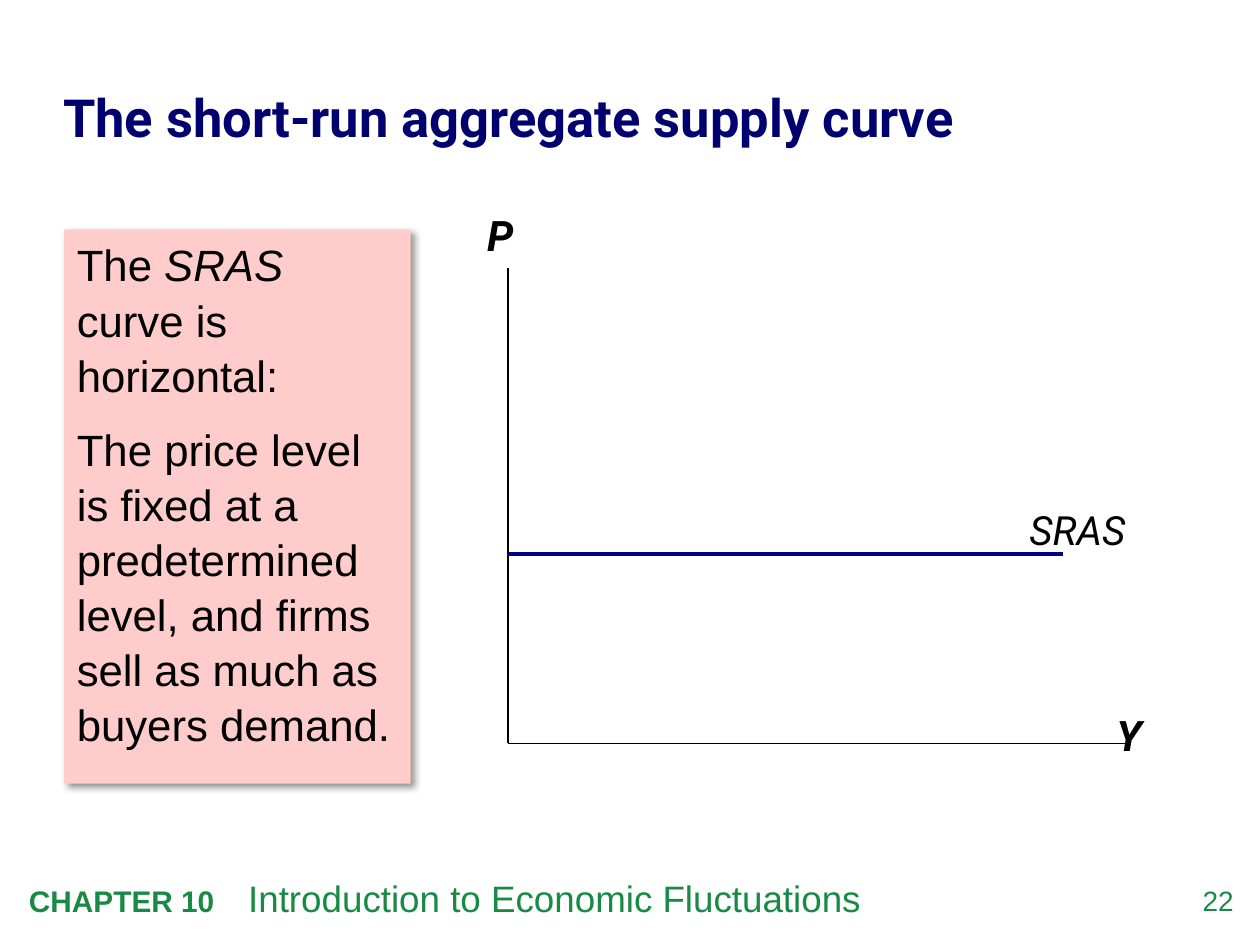
from lxml.etree import SubElement
from pptx import Presentation
from pptx.dml.color import RGBColor
from pptx.enum.shapes import MSO_CONNECTOR
from pptx.enum.text import MSO_ANCHOR, MSO_AUTO_SIZE, PP_ALIGN
from pptx.oxml import parse_xml
from pptx.oxml.ns import nsdecls, qn
from pptx.util import Inches, Pt

BLACK = RGBColor(0x00, 0x00, 0x00)
GREEN = RGBColor(0x19, 0x8A, 0x46)
TITLE_NAVY = RGBColor(0x00, 0x00, 0x6E)
CURVE_NAVY = RGBColor(0x00, 0x00, 0x82)
PINK = RGBColor(0xFF, 0xCC, 0xCC)
ORIGIN_X, ORIGIN_Y = 4.03, 5.9
CURVE_Y = 4.4


def place(shape, left, top, width, height):
    """Move and size a shape, in inches."""
    shape.left, shape.top = Inches(left), Inches(top)
    shape.width, shape.height = Inches(width), Inches(height)


def set_margins(text_frame, margin):
    """Give a text frame the same inset on all sides, in inches."""
    text_frame.margin_left = text_frame.margin_right = Inches(margin)
    text_frame.margin_top = text_frame.margin_bottom = Inches(margin)


def format_run(run, size, color, name="Arial", bold=False, italic=False):
    """Set the font of a run."""
    font = run.font
    font.name, font.size = name, Pt(size)
    font.bold, font.italic = bold, italic
    font.color.rgb = color


def add_run(paragraph, text, size, color, **style):
    """Append a formatted run to a paragraph."""
    run = paragraph.add_run()
    run.text = text
    format_run(run, size, color, **style)


def add_label(slide, box, text, size, color, align=PP_ALIGN.LEFT, margin=0, **style):
    """Add a one-line text box and return its paragraph."""
    text_frame = slide.shapes.add_textbox(*map(Inches, box)).text_frame
    text_frame.word_wrap = True
    set_margins(text_frame, margin)
    paragraph = text_frame.paragraphs[0]
    paragraph.alignment = align
    add_run(paragraph, text, size, color, **style)
    return paragraph


def add_line(slide, start, end, color, width):
    """Add a straight line without a shadow."""
    line = slide.shapes.add_connector(
        MSO_CONNECTOR.STRAIGHT, *map(Inches, (*start, *end)))
    line.line.color.rgb = color
    line.line.width = Pt(width)
    SubElement(line._element.spPr, qn("a:effectLst"))


def add_title(slide):
    """Fill the title placeholder."""
    title = slide.shapes.title
    place(title, 0.5, 0.26, 8.92, 1.31)
    text_frame = title.text_frame
    text_frame.text = "The short-run aggregate supply curve"
    text_frame.auto_size = MSO_AUTO_SIZE.NONE
    text_frame.vertical_anchor = MSO_ANCHOR.MIDDLE
    set_margins(text_frame, 0)
    paragraph = text_frame.paragraphs[0]
    paragraph.alignment = PP_ALIGN.LEFT
    paragraph.line_spacing = 1.05
    format_run(paragraph.runs[0], 30, TITLE_NAVY, name="Roboto", bold=True)


def add_explanation(slide):
    """Fill the body placeholder as a pink panel with a soft shadow."""
    body = slide.placeholders[1]
    place(body, 0.51, 1.82, 2.75, 4.4)
    body.fill.solid()
    body.fill.fore_color.rgb = PINK
    body._element.spPr.append(parse_xml(
        f'<a:effectLst {nsdecls("a")}>'
        f'<a:outerShdw blurRad="{Pt(4)}" dist="{Pt(3)}" dir="2700000" algn="tl" rotWithShape="0">'
        '<a:srgbClr val="000000"><a:alpha val="40000"/></a:srgbClr>'
        '</a:outerShdw></a:effectLst>'))
    text_frame = body.text_frame
    text_frame.auto_size = MSO_AUTO_SIZE.NONE
    paragraphs = [
        [("The ", False), ("SRAS", True), (" curve is horizontal:", False)],
        [("The price level is fixed at a predetermined level, "
          "and firms sell as much as buyers demand.", False)],
    ]
    for index, parts in enumerate(paragraphs):
        paragraph = text_frame.add_paragraph() if index else text_frame.paragraphs[0]
        properties = paragraph._p.get_or_add_pPr()
        properties.set("marL", "0")
        properties.set("indent", "0")
        SubElement(properties, qn("a:buNone"))
        paragraph.line_spacing = 1.05
        paragraph.space_before = Pt(11 if index else 0)
        for text, italic in parts:
            add_run(paragraph, text, 25, BLACK, italic=italic)


def add_graph(slide):
    """Draw the axes and the horizontal supply curve with their labels."""
    origin = (ORIGIN_X, ORIGIN_Y)
    add_line(slide, (ORIGIN_X, 2.13), origin, BLACK, 1)
    add_line(slide, origin, (8.94, ORIGIN_Y), BLACK, 1)
    axis_labels = [("Y", (8.54, 5.58, 0.84, 0.5)), ("P", (3.67, 1.61, 0.6, 0.5))]
    for text, box in axis_labels:
        add_label(slide, box, text, 24, BLACK, align=PP_ALIGN.CENTER, margin=0.05,
                  name="Roboto", bold=True, italic=True)
    add_line(slide, (ORIGIN_X, CURVE_Y), (8.44, CURVE_Y), CURVE_NAVY, 2.25)
    add_label(slide, (8.17, 4.01, 1, 0.43), "SRAS", 23, BLACK,
              name="Roboto", italic=True)


def add_footer(slide):
    """Add the chapter line and the page number."""
    add_label(slide, (9.24, 7.01, 0.55, 0.32), "22", 16, GREEN, align=PP_ALIGN.RIGHT)
    chapter = add_label(slide, (0.23, 6.95, 8, 0.4), "CHAPTER 10\t", 17, GREEN, bold=True)
    tabs = SubElement(chapter._p.get_or_add_pPr(), qn("a:tabLst"))
    SubElement(tabs, qn("a:tab"), pos=str(Inches(1.74)), algn="l")
    add_run(chapter, "Introduction to Economic Fluctuations", 21, GREEN)


def main():
    """Build and save the slide."""
    presentation = Presentation()
    presentation.slide_width, presentation.slide_height = Inches(10), Inches(7.5)
    slide = presentation.slides.add_slide(presentation.slide_layouts[1])
    add_footer(slide)
    add_title(slide)
    add_graph(slide)
    add_explanation(slide)
    presentation.save("out.pptx")


if __name__ == "__main__":
    main()
